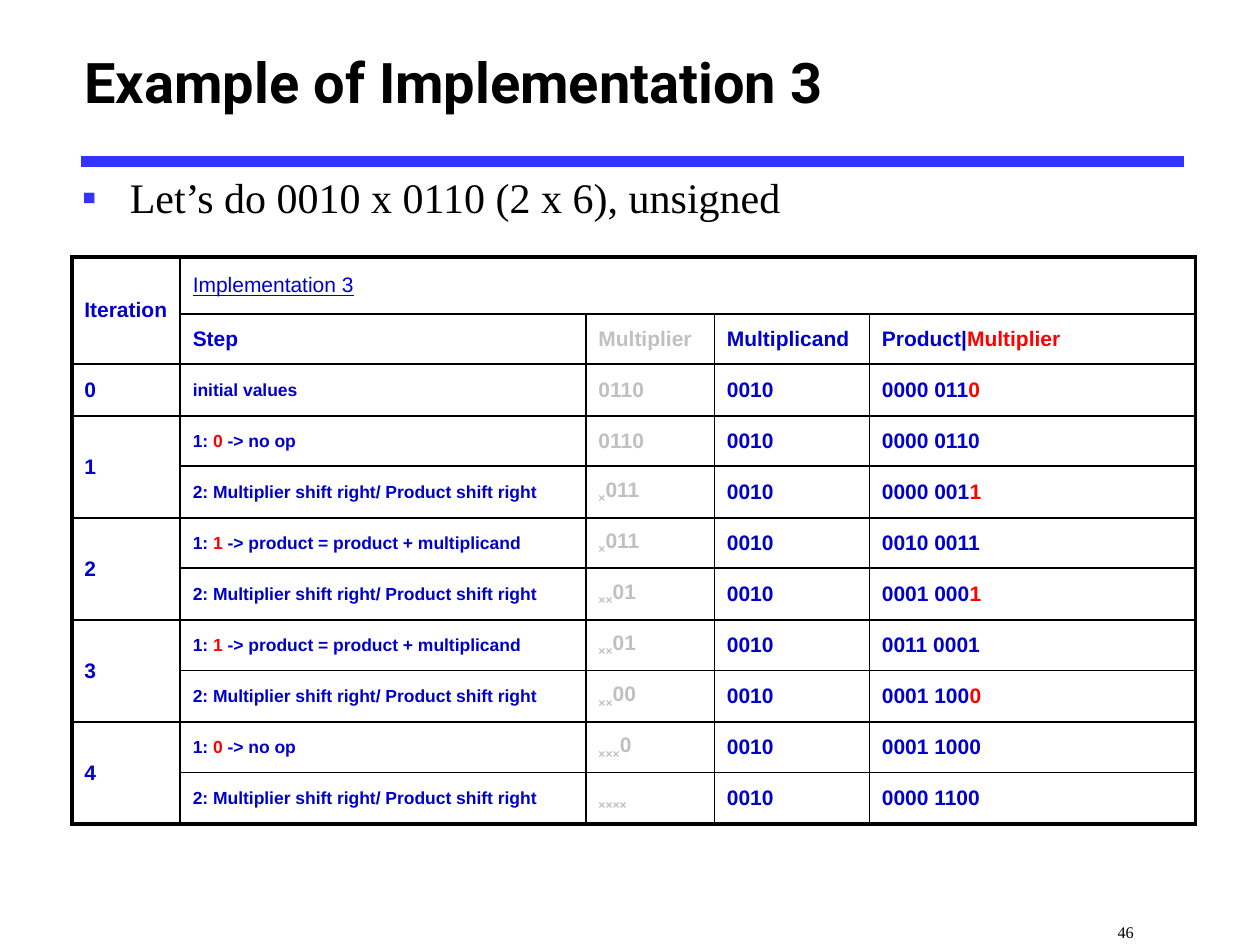
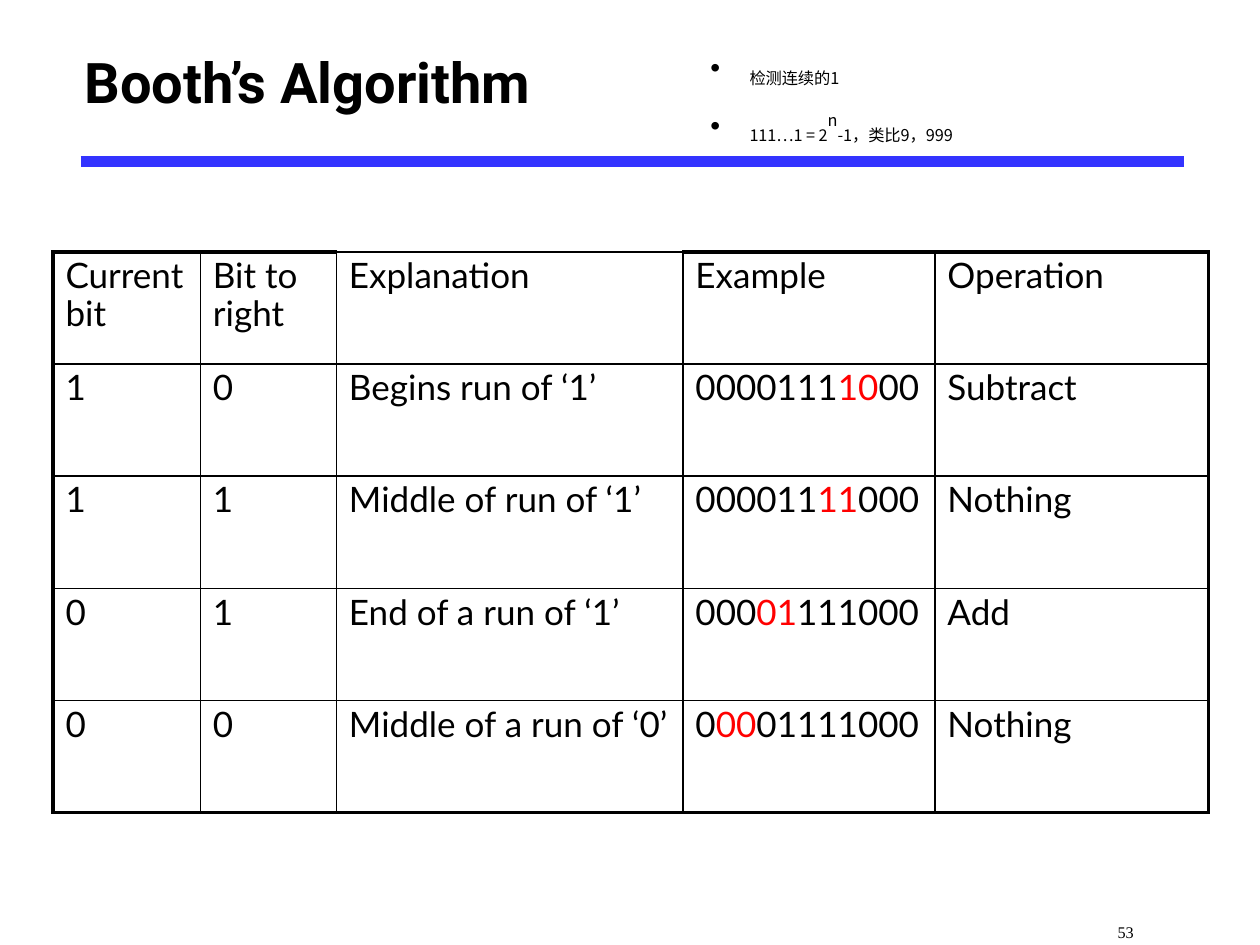
from lxml.etree import SubElement
from pptx import Presentation
from pptx.dml.color import RGBColor as Rgb
from pptx.enum.shapes import MSO_CONNECTOR as Link
from pptx.enum.text import MSO_ANCHOR as Anchor, MSO_AUTO_SIZE as Auto, PP_ALIGN as Align
from pptx.oxml.ns import qn
from pptx.util import Inches, Pt

COLORS = {"black": "000000", "rule": "3333FF", "blue": "0000CC",
          "red": "FF0000", "gray": "C0C0C0"}
SERIF, SANS, HEAD, LATO, CJK = (
    "Times New Roman", "Arial", "Roboto", "Lato", "Noto Sans CJK SC")
THICK, THIN = 2.25, 1
SUB, SUPER = -25, 30


# Text
def style(run, font=SERIF, size=16, color="black", bold=False, under=False, base=0):
    run.font.name, run.font.size = font, Pt(size)
    run.font.bold, run.font.underline = bold, under
    run.font.color.rgb = Rgb.from_string(COLORS[color])
    props = run._r.get_or_add_rPr()
    SubElement(props, qn("a:ea"), typeface=font)
    if base:
        props.set("baseline", str(base * 1000))


def write(para, text, alt=None, **fmt):
    """Add text; the parts between ~ marks take the alt format (red by default)."""
    alt = alt or {"color": "red"}
    for i, part in enumerate(text.split("~")):
        if part:
            run = para.add_run()
            run.text = part
            style(run, **(fmt | alt if i % 2 else fmt))


def bullet(para, char, indent, color="black"):
    props = para._p.get_or_add_pPr()
    props.set("marL", str(Inches(indent)))
    props.set("indent", str(-Inches(indent)))
    SubElement(SubElement(props, qn("a:buClr")), qn("a:srgbClr"), val=COLORS[color])
    SubElement(props, qn("a:buFont"), typeface=SANS)
    SubElement(props, qn("a:buChar"), char=char)


def place(shape, x, y, w, h):
    shape.left, shape.top = Inches(x), Inches(y)
    shape.width, shape.height = Inches(w), Inches(h)
    shape.text_frame.word_wrap = True
    shape.text_frame.auto_size = Auto.NONE
    return shape.text_frame


def text_box(slide, x, y, w, h):
    box = slide.shapes.add_textbox(0, 0, 0, 0)
    return place(box, x, y, w, h)


# Shared slide frame
def new_slide(deck, layout, title, number):
    slide = deck.slides.add_slide(deck.slide_layouts[layout])
    rule = slide.shapes.add_connector(
        Link.STRAIGHT, Inches(0.64), Inches(1.28), Inches(9.4), Inches(1.28))
    rule.line.color.rgb = Rgb.from_string(COLORS["rule"])
    rule.line.width = Pt(6)
    SubElement(rule._element.spPr, qn("a:effectLst"))

    frame = place(slide.shapes.title, 0.57, 0.08, 8.5, 1.12)
    frame.vertical_anchor = Anchor.MIDDLE
    frame.paragraphs[0].alignment = Align.LEFT
    write(frame.paragraphs[0], title, font=HEAD, size=32, bold=True)

    frame = text_box(slide, 7.9, 7.12, 2.1, 0.38)
    frame.margin_left = Inches(0.97)
    write(frame.paragraphs[0], str(number), base=SUB)
    return slide


# Tables
def edge(cell, side, width):
    line = SubElement(cell._tc.get_or_add_tcPr(), qn("a:ln" + side), w=str(Pt(width)))
    fill = SubElement(line, qn("a:solidFill"))
    SubElement(fill, qn("a:srgbClr"), val=COLORS["black"])


def frame_cells(table, thin_top=()):
    """Thick outer edges and thin inner ones, merged cells included."""
    rows, cols = len(table.rows), len(table.columns)
    for r in range(rows):
        for c in range(cols):
            cell = table.cell(r, c)
            high = cell.span_height if cell.is_merge_origin else 1
            wide = cell.span_width if cell.is_merge_origin else 1
            outer = {"L": c == 0, "R": c + wide == cols,
                     "T": r == 0 and c not in thin_top, "B": r + high == rows}
            for side, thick in outer.items():
                if thick or not cell.is_spanned:
                    edge(cell, side, THICK if thick else THIN)
            cell.fill.background()


def add_grid(slide, x, y, widths, heights):
    table = slide.shapes.add_table(
        len(heights), len(widths), Inches(x), Inches(y),
        Inches(sum(widths)), Inches(sum(heights))).table
    table.first_row = table.horz_banding = False
    for col, width in zip(table.columns, widths):
        col.width = Inches(width)
    for row, height in zip(table.rows, heights):
        row.height = Inches(height)
    return table


def fill_cell(cell, text, size, anchor=Anchor.TOP, spacing=1.0, **fmt):
    cell.vertical_anchor = anchor
    para = cell.text_frame.paragraphs[0]
    para.line_spacing, para.space_before = spacing, Pt(size * 0.2)
    write(para, text, size=size, **fmt)


# Slide contents
def steps_slide(deck):
    slide = new_slide(deck, 1, "Example of Implementation 3", 46)
    frame = place(slide.placeholders[1], 0.55, 1.31, 9.2, 6.12)
    para = frame.paragraphs[0]
    para.space_before = Pt(4.8)
    bullet(para, "▪", 0.38, "rule")
    write(para, "Let’s do 0010 x 0110 (2 x 6), unsigned", size=24)

    skip, plus = "1: ~0~ -> no op", "1: ~1~ -> product = product + multiplicand"
    shift = "2: Multiplier shift right/ Product shift right"
    # Step, multiplier (~ marks lowered signs), product (~ marks red)
    steps = [("initial values", "0110", "0000 011~0~"),
             (skip, "0110", "0000 0110"), (shift, "~×~011", "0000 001~1~"),
             (plus, "~×~011", "0010 0011"), (shift, "~××~01", "0001 000~1~"),
             (plus, "~××~01", "0011 0001"), (shift, "~××~00", "0001 100~0~"),
             (skip, "~×××~0", "0001 1000"), (shift, "~××××~", "0000 1100")]
    table = add_grid(slide, 0.57, 2.04, [0.86, 3.22, 1.02, 1.23, 2.59],
                     [0.45] + [0.4, 0.41] * 5)

    def put(r, c, text, size=12, color="blue", bold=True, **fmt):
        fill_cell(table.cell(r, c), text, size, Anchor.MIDDLE,
                  font=SANS, color=color, bold=bold, **fmt)

    table.cell(0, 0).merge(table.cell(1, 0))
    table.cell(0, 1).merge(table.cell(0, 4))
    put(0, 0, "Iteration")
    put(0, 1, "Implementation 3", bold=False, under=True)
    for c, head in enumerate(["Step", "Multiplier", "Multiplicand",
                              "Product|~Multiplier~"], 1):
        put(1, c, head, color="gray" if c == 2 else "blue")
    put(2, 0, "0")
    for turn in range(1, 5):
        top = 2 * turn + 1
        table.cell(top, 0).merge(table.cell(top + 1, 0))
        put(top, 0, str(turn))
    for r, (step, factor, product) in enumerate(steps, 2):
        put(r, 1, step, size=10)
        put(r, 2, factor, color="gray", alt={"base": SUB})
        put(r, 3, "0010")
        put(r, 4, product)
    frame_cells(table)


def booth_slide(deck):
    slide = new_slide(deck, 5, "Booth’s Algorithm", 53)
    rows = [("Current bit", "Bit to right", "Explanation", "Example", "Operation"),
            ("1", "0", "Begins run of ‘1’", "0000111~10~00", "Subtract"),
            ("1", "1", "Middle of run of ‘1’", "000011~11~000", "Nothing"),
            ("0", "1", "End of a run of ‘1’", "000~01~111000", "Add"),
            ("0", "0", "Middle of a run of ‘0’", "0~00~01111000", "Nothing")]
    table = add_grid(slide, 0.42, 2, [1.17, 1.08, 2.75, 2, 2.17], [0.89] * len(rows))
    for r, row in enumerate(rows):
        for c, text in enumerate(row):
            fill_cell(table.cell(r, c), text, 20, spacing=0.9, font=LATO)
    frame_cells(table, thin_top=[2])

    # Notes beside the title
    frame = text_box(slide, 5.54, 0.19, 3.89, 0.86)
    for i, note in enumerate(["检测连续的1", "111…1 = 2~n~-1，类比9，999"]):
        para = frame.add_paragraph() if i else frame.paragraphs[0]
        para.line_spacing = 1.5
        bullet(para, "•", 0.31)
        write(para, note, alt={"base": SUPER}, font=CJK, base=SUB)


def main():
    deck = Presentation()
    deck.slide_width, deck.slide_height = Inches(10), Inches(7.5)
    steps_slide(deck)
    booth_slide(deck)
    deck.save("out.pptx")


if __name__ == "__main__":
    main()
